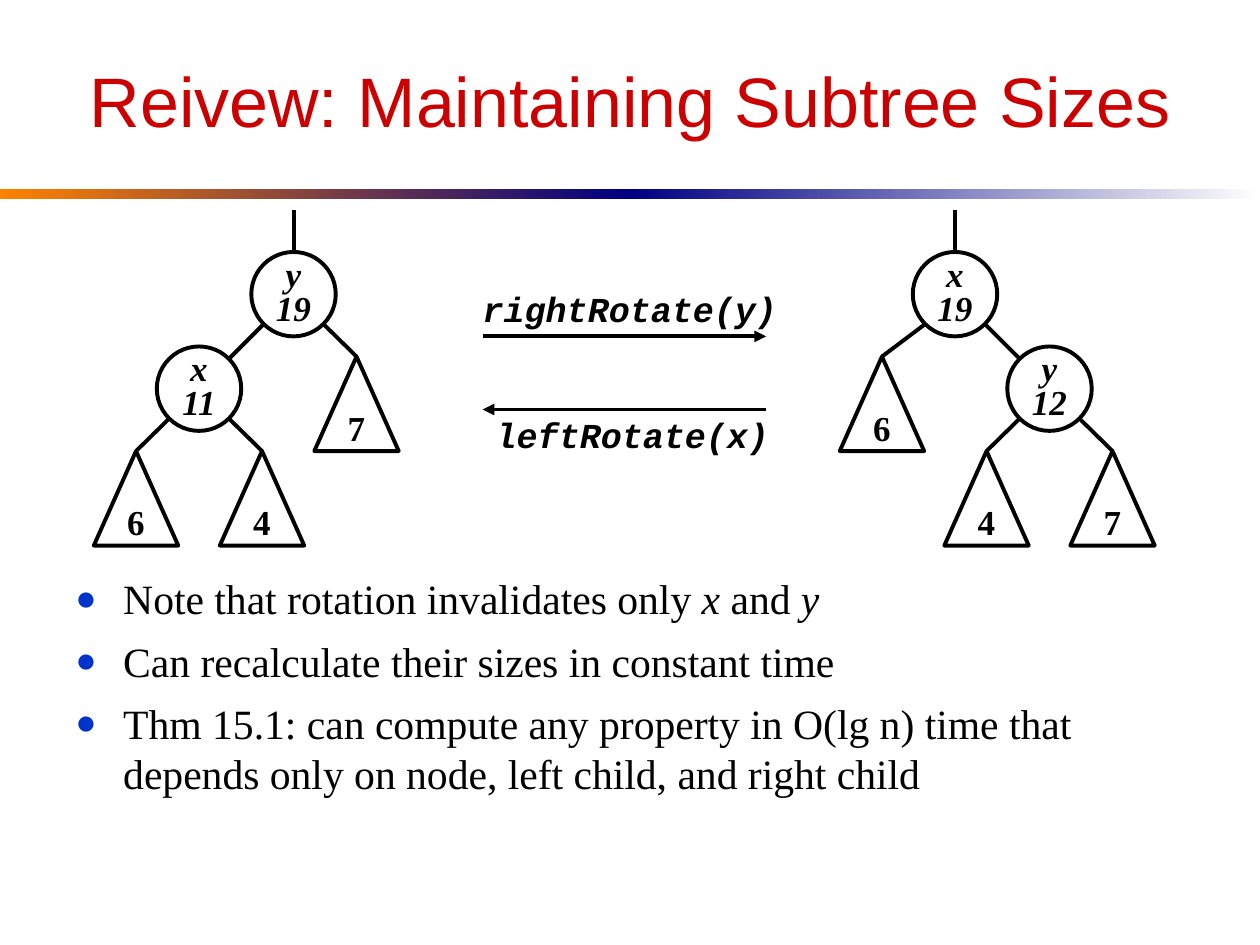
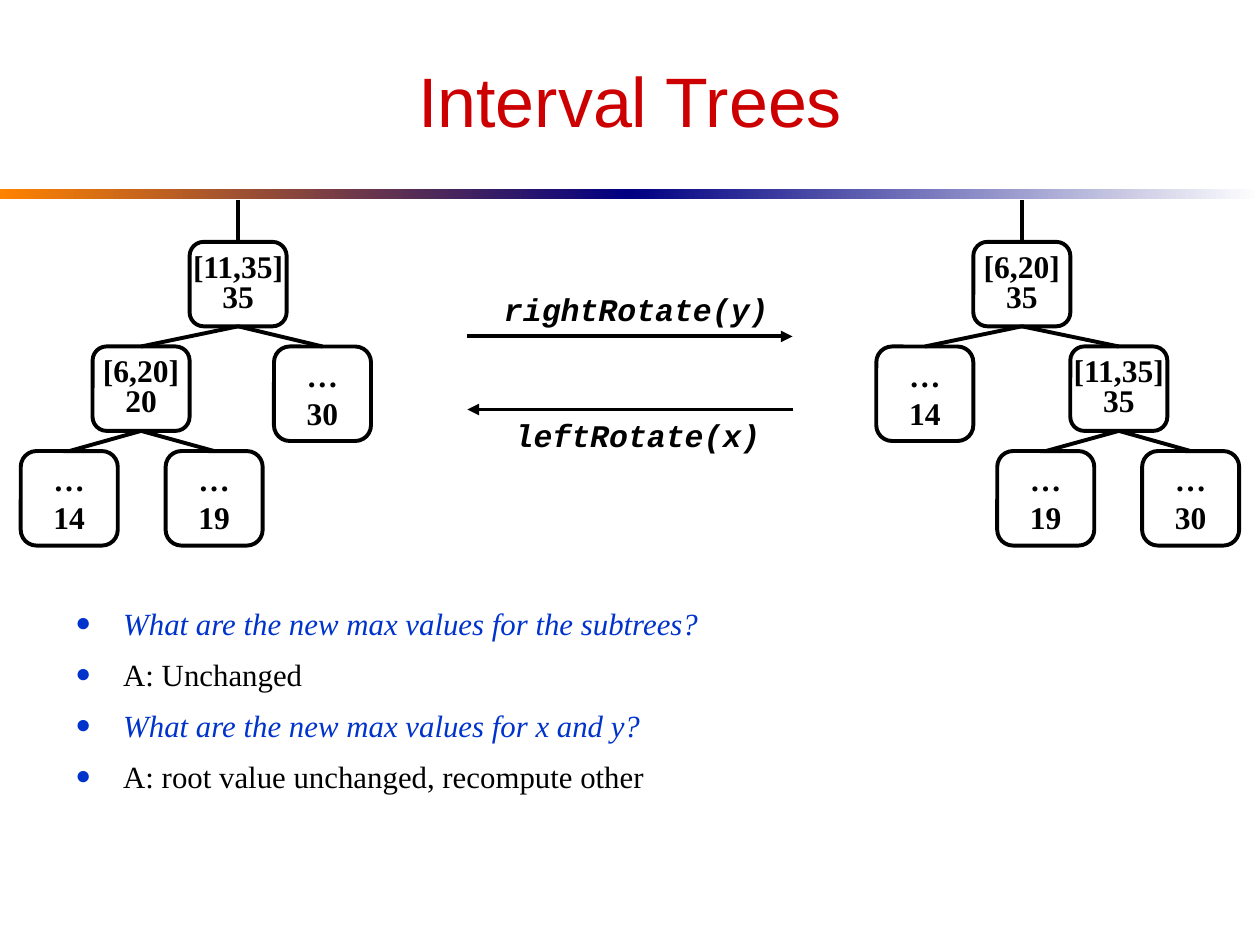
from lxml import etree
from pptx import Presentation
from pptx.dml.color import RGBColor
from pptx.enum.shapes import MSO_CONNECTOR, MSO_SHAPE
from pptx.enum.text import MSO_ANCHOR, PP_ALIGN
from pptx.oxml.ns import qn
from pptx.util import Inches, Pt

RED = RGBColor(0xCC, 0x00, 0x00)
BLUE = RGBColor(0x00, 0x33, 0xCC)
BLACK = RGBColor(0x00, 0x00, 0x00)
WHITE = RGBColor(0xFF, 0xFF, 0xFF)
NAVY = RGBColor(0x00, 0x00, 0x82)
ORANGE = RGBColor(0xFF, 0x82, 0x00)
TITLE_FONT, BODY_FONT, CODE_FONT = "Arial", "Times New Roman", "Courier New"

BAND_HALVES = [(0, ORANGE, NAVY), (5, NAVY, WHITE)]
NODE_HEIGHT, LEAF_HEIGHT = 0.67, 0.75
INNER_TOP, LOWER_LEAF_TOP = 2.75, 3.58
STUB_LENGTH = 0.33
LABEL_WIDTH, LABEL_HEIGHT = 2.8, 0.44
DIAGONAL = 0.5 ** 0.5

SLIDES = [
    {
        "title": "Reivew: Maintaining Subtree Sizes",
        "node_shape": MSO_SHAPE.OVAL,
        "leaf_shape": MSO_SHAPE.ISOSCELES_TRIANGLE,
        "node_width": 0.67, "node_size": 20, "node_italic": True,
        "root_top": 2.0, "upper_leaf_top": 2.83,
        "trees": [
            {"root": (2.33, "y\n19"), "inner": (1.58, "x\n11"),
             "upper_leaf": (2.83, "7"),
             "lower_leaves": [(1.08, "6"), (2.08, "4")]},
            {"root": (7.58, "x\n19"), "inner": (8.33, "y\n12"),
             "upper_leaf": (7.0, "6"),
             "lower_leaves": [(7.83, "4"), (8.83, "7")]},
        ],
        "arrow_span": (3.83, 6.08),
        "label_centers": (5.0, 5.02),
        "bullets_top": 4.5, "bullets_height": 1.92,
        "bullet_size": 23.8, "bullet_gap": 7,
        "bullets": [
            [("Note that rotation invalidates only ", BLACK, False),
             ("x", BLACK, True), (" and ", BLACK, False), ("y", BLACK, True)],
            [("Can recalculate their sizes in constant time", BLACK, False)],
            [("Thm 15.1: can compute any property in O(lg n) time that depends "
              "only on node, left child, and right child", BLACK, False)],
        ],
    },
    {
        "title": "Interval Trees",
        "node_shape": MSO_SHAPE.ROUNDED_RECTANGLE,
        "leaf_shape": MSO_SHAPE.ROUNDED_RECTANGLE,
        "node_width": 0.77, "node_size": 18, "node_italic": False,
        "root_top": 1.92, "upper_leaf_top": 2.75,
        "trees": [
            {"root": (1.89, "[11,35]\n35"), "inner": (1.12, "[6,20]\n20"),
             "upper_leaf": (2.56, "…\n30"),
             "lower_leaves": [(0.55, "…\n14"), (1.7, "…\n19")]},
            {"root": (8.11, "[6,20]\n35"), "inner": (8.88, "[11,35]\n35"),
             "upper_leaf": (7.34, "…\n14"),
             "lower_leaves": [(8.3, "…\n19"), (9.45, "…\n30")]},
        ],
        "arrow_span": (3.71, 6.29),
        "label_centers": (5.05, 5.06),
        "bullets_top": 4.75, "bullets_height": 1.67,
        "bullet_size": 17.6, "bullet_gap": 8,
        "bullets": [
            [("What are the new max values for the subtrees?", BLUE, True)],
            [("A: Unchanged", BLACK, False)],
            [("What are the new max values for x and y?", BLUE, True)],
            [("A: root value unchanged, recompute other", BLACK, False)],
        ],
    },
]


def add_run(paragraph, text, font_name, size, color=BLACK, bold=False, italic=False):
    run = paragraph.add_run()
    run.text = text
    font = run.font
    font.name, font.size, font.bold, font.italic = font_name, Pt(size), bold, italic
    font.color.rgb = color


def add_title(slide, text):
    title = slide.shapes.title
    title.left, title.top = Inches(0.5), Inches(0.25)
    title.width, title.height = Inches(9), Inches(1.08)
    title.text_frame.vertical_anchor = MSO_ANCHOR.MIDDLE
    paragraph = title.text_frame.paragraphs[0]
    paragraph.alignment = PP_ALIGN.CENTER
    add_run(paragraph, text, TITLE_FONT, 40, RED)


def add_band(slide):
    for left, start_color, end_color in BAND_HALVES:
        band = slide.shapes.add_shape(
            MSO_SHAPE.RECTANGLE, Inches(left), Inches(1.5), Inches(5), Inches(0.08))
        band.shadow.inherit = False
        band.line.fill.background()
        band.fill.gradient()
        band.fill.gradient_angle = 0
        for stop, color in zip(band.fill.gradient_stops, (start_color, end_color)):
            stop.color.rgb = color


def add_line(slide, start, end, arrow=False):
    connector = slide.shapes.add_connector(
        MSO_CONNECTOR.STRAIGHT, *(Inches(value) for value in (*start, *end)))
    connector.line.color.rgb = BLACK
    connector.line.width = Pt(2.25)
    properties = connector.element.spPr
    if arrow:
        tail = etree.SubElement(properties.find(qn("a:ln")), qn("a:tailEnd"))
        tail.set("type", "triangle")
    etree.SubElement(properties, qn("a:effectLst"))
    return connector


def add_tree_part(slide, content, part, top, is_leaf):
    center, text = part
    width = content["node_width"]
    shape = slide.shapes.add_shape(
        content["leaf_shape" if is_leaf else "node_shape"],
        Inches(center - width / 2), Inches(top),
        Inches(width), Inches(LEAF_HEIGHT if is_leaf else NODE_HEIGHT))
    shape.shadow.inherit = False
    shape.line.color.rgb = BLACK
    shape.line.width = Pt(2.25)
    if is_leaf:
        shape.fill.background()
    else:
        shape.fill.solid()
        shape.fill.fore_color.rgb = WHITE
    frame = shape.text_frame
    frame.word_wrap = False
    frame.vertical_anchor = MSO_ANCHOR.MIDDLE
    paragraph = frame.paragraphs[0]
    paragraph.alignment = PP_ALIGN.CENTER
    if not is_leaf:
        paragraph.line_spacing = 0.8
    for index, line in enumerate(text.split("\n")):
        if index:
            paragraph.add_line_break()
        add_run(paragraph, line, BODY_FONT, content["node_size"], bold=True,
                italic=content["node_italic"] and not is_leaf)
    return shape


def add_edge(slide, content, parent, child, child_is_leaf):
    parent_center, parent_top, parent_shape = parent
    child_center, child_top, child_shape = child
    round_nodes = content["node_shape"] == MSO_SHAPE.OVAL
    offset = NODE_HEIGHT / 2 * DIAGONAL
    side = 1 if child_center > parent_center else -1
    start = (parent_center + side * offset, parent_top + NODE_HEIGHT / 2 + offset)
    end = (child_center - side * offset, child_top + NODE_HEIGHT / 2 - offset)
    edge = add_line(slide, start, end)
    if not round_nodes:
        edge.begin_connect(parent_shape, 2)
    if child_is_leaf or not round_nodes:
        edge.end_connect(child_shape, 0)


def add_tree(slide, content, tree):
    def place(part, top, is_leaf):
        return part[0], top, add_tree_part(slide, content, part, top, is_leaf)

    root_top = content["root_top"]
    root = place(tree["root"], root_top, False)
    inner = place(tree["inner"], INNER_TOP, False)
    upper_leaf = place(tree["upper_leaf"], content["upper_leaf_top"], True)
    stub = add_line(slide, (root[0], root_top - STUB_LENGTH), (root[0], root_top))
    stub.end_connect(root[2], 0)
    add_edge(slide, content, root, inner, False)
    add_edge(slide, content, root, upper_leaf, True)
    for part in tree["lower_leaves"]:
        add_edge(slide, content, inner, place(part, LOWER_LEAF_TOP, True), True)


def add_rotations(slide, content):
    left, right = content["arrow_span"]
    rotations = [("rightRotate(y)", left, right, 2.67, 2.23),
                 ("leftRotate(x)", right, left, 3.25, 3.23)]
    for center, (text, start, end, arrow_top, label_top) in zip(
            content["label_centers"], rotations):
        add_line(slide, (start, arrow_top), (end, arrow_top), arrow=True)
        label = slide.shapes.add_textbox(
            Inches(center - LABEL_WIDTH / 2), Inches(label_top),
            Inches(LABEL_WIDTH), Inches(LABEL_HEIGHT))
        label.text_frame.word_wrap = False
        label.text_frame.vertical_anchor = MSO_ANCHOR.MIDDLE
        paragraph = label.text_frame.paragraphs[0]
        paragraph.alignment = PP_ALIGN.CENTER
        add_run(paragraph, text, CODE_FONT, content["node_size"], bold=True, italic=True)


def format_bullet(paragraph):
    properties = paragraph._p.get_or_add_pPr()
    properties.set("marL", str(Inches(0.38)))
    properties.set("indent", str(-Inches(0.38)))
    color = etree.SubElement(properties, qn("a:buClr"))
    etree.SubElement(color, qn("a:srgbClr")).set("val", str(BLUE))
    etree.SubElement(properties, qn("a:buSzPct")).set("val", "85000")
    etree.SubElement(properties, qn("a:buFont")).set("typeface", BODY_FONT)
    etree.SubElement(properties, qn("a:buChar")).set("char", "●")


def add_bullets(slide, content):
    box = slide.shapes.add_textbox(
        Inches(0.5), Inches(content["bullets_top"]),
        Inches(9), Inches(content["bullets_height"]))
    frame = box.text_frame
    frame.word_wrap = True
    for index, runs in enumerate(content["bullets"]):
        paragraph = frame.add_paragraph() if index else frame.paragraphs[0]
        format_bullet(paragraph)
        paragraph.space_before = Pt(content["bullet_gap"] if index else 0)
        for text, color, italic in runs:
            add_run(paragraph, text, BODY_FONT, content["bullet_size"], color, italic=italic)


def main():
    presentation = Presentation()
    presentation.slide_width, presentation.slide_height = Inches(10), Inches(7.5)
    for content in SLIDES:
        slide = presentation.slides.add_slide(presentation.slide_layouts[5])
        add_band(slide)
        add_title(slide, content["title"])
        add_bullets(slide, content)
        for tree in content["trees"]:
            add_tree(slide, content, tree)
        add_rotations(slide, content)
    presentation.save("out.pptx")


if __name__ == "__main__":
    main()
